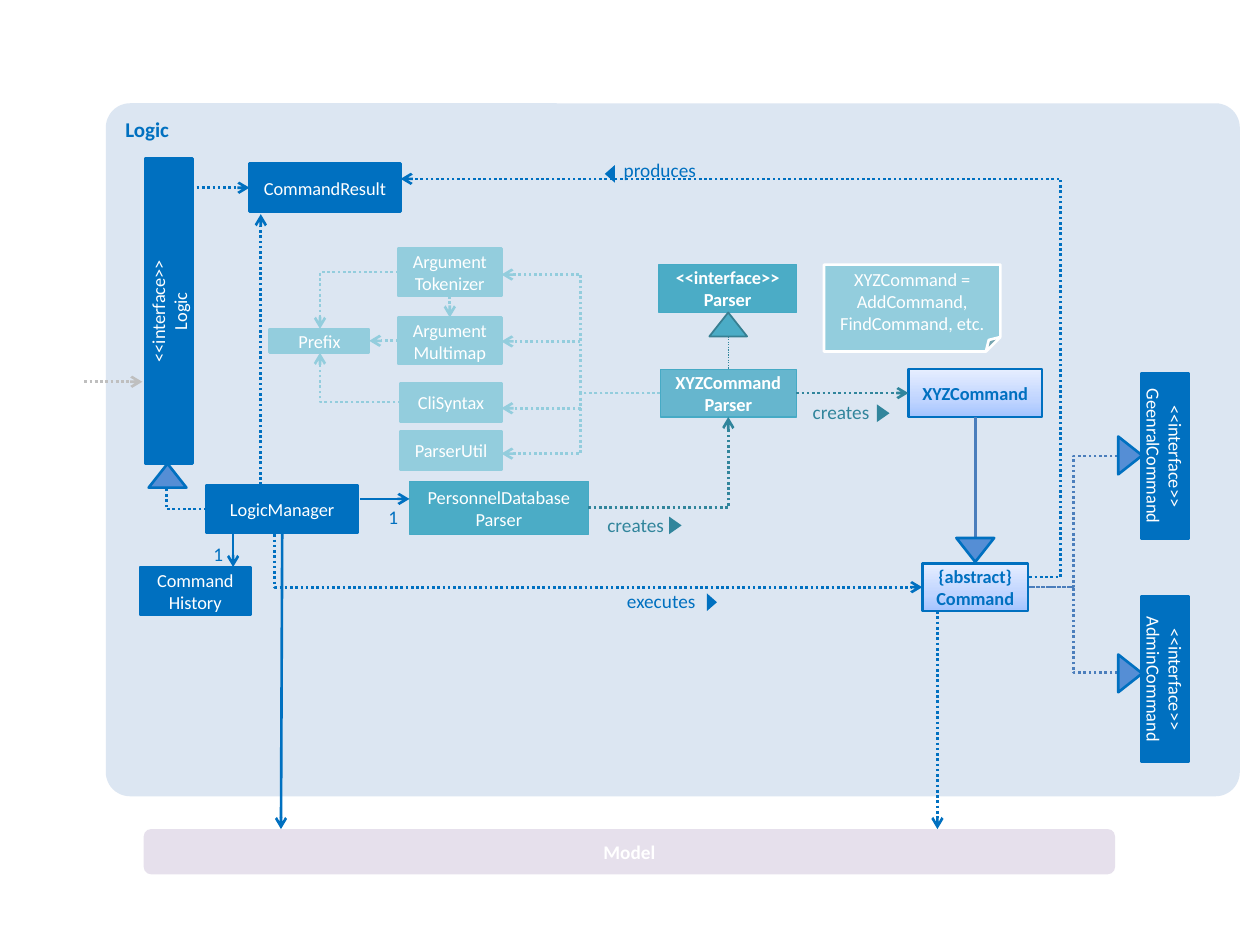
from copy import deepcopy

from lxml import etree
from pptx import Presentation
from pptx.dml.color import RGBColor
from pptx.enum.dml import MSO_LINE
from pptx.enum.shapes import MSO_CONNECTOR, MSO_SHAPE
from pptx.enum.text import MSO_ANCHOR, PP_ALIGN
from pptx.oxml.ns import qn
from pptx.util import Inches, Pt

RECT, ROUND = MSO_SHAPE.RECTANGLE, MSO_SHAPE.ROUNDED_RECTANGLE
WEDGE, NOTE = MSO_SHAPE.ISOSCELES_TRIANGLE, MSO_SHAPE.FOLDED_CORNER
STRAIGHT, ELBOW = MSO_CONNECTOR.STRAIGHT, MSO_CONNECTOR.ELBOW
LEFT, MID, RIGHT = PP_ALIGN.LEFT, PP_ALIGN.CENTER, PP_ALIGN.RIGHT
TOP, CENTER = MSO_ANCHOR.TOP, MSO_ANCHOR.MIDDLE
DOT = MSO_LINE.ROUND_DOT
NORTH, WEST, SOUTH, EAST = range(4)

HEX = {
    "blue": "0070C0", "pale": "DCE6F2", "mauve": "E6E0EC", "white": "FFFFFF",
    "teal": "4BACC6", "edge": "46AAC5", "rim": "377F92", "sea": "31859C",
    "aqua": "93CDDD", "sky": "558ED5", "steel": "4B7EBC", "gray": "BFBFBF",
}
SHADE = [(0, "A4C4FF"), (0.35, "BFD4FF"), (1, "E6EEFF")]


def color(name):
    return RGBColor.from_string(HEX[name])


def write(shape, text, size=10.5, ink="white", bold=False, align=MID,
          anchor=CENTER, inset=None):
    frame = shape.text_frame
    frame.word_wrap = True
    frame.vertical_anchor = anchor
    if inset is not None:
        frame.margin_left = frame.margin_right = Inches(inset)
        frame.margin_top = frame.margin_bottom = Inches(inset)
    frame.text = text
    for para in frame.paragraphs:
        para.alignment = align
        for run in para.runs:
            run.font.name = "Calibri"
            run.font.size = Pt(size)
            run.font.bold = bold
            run.font.color.rgb = color(ink)


class Chart:
    """Draws the parts of a class diagram on one slide."""

    def __init__(self, slide):
        self.shapes = slide.shapes

    def box(self, x, y, w, h, text="", fill="blue", edge=None, width=1.5,
            kind=RECT, turn=0, **form):
        shape = self.shapes.add_shape(
            kind, Inches(x), Inches(y), Inches(w), Inches(h))
        shape.shadow.inherit = False
        shape.rotation = turn
        if fill == "shade":
            self.blend(shape)
        else:
            shape.fill.solid()
            shape.fill.fore_color.rgb = color(fill)
        if edge:
            shape.line.color.rgb = color(edge)
            shape.line.width = Pt(width)
        else:
            shape.line.fill.background()
        if text:
            write(shape, text, **form)
        return shape

    def blend(self, shape):
        shape.fill.gradient()
        shape.fill.gradient_angle = 90
        stops = shape.element.spPr.find(qn("a:gradFill")).find(qn("a:gsLst"))
        stops.insert(1, deepcopy(stops[0]))
        for stop, (place, tone) in zip(shape.fill.gradient_stops, SHADE):
            stop.position = place
            stop.color.rgb = RGBColor.from_string(tone)

    def fade(self, shape, part):
        tone = next(shape.element.spPr.iter(qn("a:srgbClr")))
        etree.SubElement(tone, qn("a:alpha"), val=str(part * 1000))

    def wedge(self, x, y, w, h, turn=0, fill="sky", edge="blue", width=1.5):
        return self.box(x, y, w, h, fill=fill, edge=edge, width=width,
                        kind=WEDGE, turn=turn)

    def label(self, x, y, w, text, ink="blue", align=LEFT):
        shape = self.shapes.add_textbox(
            Inches(x), Inches(y), Inches(w), Inches(0.25))
        write(shape, text, 11, ink, align=align, anchor=TOP, inset=0)

    def line(self, start, end, ink="blue", width=1.5, dash=DOT, arrow=True,
             kind=STRAIGHT, bend=None, tie=None, join=None):
        link = self.shapes.add_connector(
            kind, *(Inches(v) for v in (*start, *end)))
        if tie:
            link.begin_connect(*tie)
        if join:
            link.end_connect(*join)
        link.line.color.rgb = color(ink)
        link.line.width = Pt(width)
        if dash:
            link.line.dash_style = dash
        props = link.element.spPr
        if arrow:
            etree.SubElement(props.find(qn("a:ln")), qn("a:tailEnd"), type="arrow")
        etree.SubElement(props, qn("a:effectLst"))
        if bend is not None:
            guides = props.find(qn("a:prstGeom")).find(qn("a:avLst"))
            etree.SubElement(guides, qn("a:gd"), name="adj1",
                             fmla=f"val {round(bend * 100000)}")
        return link

    def corner(self, start, end, **look):
        """Goes across first, then up or down."""
        link = self.line(start, end, kind=ELBOW, **look)
        link.element.spPr.find(qn("a:prstGeom")).set("prst", "bentConnector2")


def main():
    deck = Presentation()
    deck.slide_width, deck.slide_height = Inches(10), Inches(7.5)
    art = Chart(deck.slides.add_slide(deck.slide_layouts[6]))

    # Component areas
    area = art.box(0.84, 0.82, 9, 5.5, "Logic", "pale", kind=ROUND, size=12,
                   ink="blue", bold=True, align=LEFT, anchor=TOP)
    area.adjustments[0] = 0.035
    art.box(1.14, 6.58, 7.71, 0.36, "Model", "mauve", kind=ROUND, size=11,
            bold=True)

    # Logic classes
    blue = {"edge": "blue"}
    result = art.box(1.98, 1.3, 1.2, 0.38, "CommandResult", **blue)
    art.box(1.64, 3.85, 1.2, 0.38, "LogicManager", **blue)
    past = art.box(1.11, 4.5, 0.88, 0.38, "Command\nHistory", **blue)
    art.box(0.13, 2.28, 2.42, 0.38, "<<interface>>\nLogic", turn=270, **blue)
    for y, name in ((3.43, "GeenralCommand"), (5.2, "AdminCommand")):
        art.box(8.59, y, 1.31, 0.38, f"<<interface>>\n{name}", turn=90, **blue)

    # Command classes
    shade = {"fill": "shade", "edge": "blue", "ink": "blue", "bold": True}
    xyz = art.box(7.21, 2.93, 1.06, 0.38, "XYZCommand", **shade)
    art.box(7.32, 4.47, 0.84, 0.38, "{abstract}\nCommand", **shade)

    # Parser classes
    teal = {"fill": "teal", "edge": "edge", "width": 0.75}
    art.box(3.25, 3.82, 1.42, 0.42, "PersonnelDatabase\nParser", **teal)
    art.box(5.23, 2.1, 1.09, 0.38, "<<interface>>\nParser", bold=True, **teal)
    parser = art.box(5.24, 2.93, 1.08, 0.38, "XYZCommand\nParser", bold=True,
                     **teal)
    art.fade(parser, 81)

    # Parser helpers
    aqua = {"fill": "aqua", "edge": "aqua"}
    token = art.box(3.16, 1.97, 0.82, 0.38, "Argument\nTokenizer", **aqua)
    multi = art.box(3.16, 2.52, 0.82, 0.37, "Argument\nMultimap", **aqua)
    prefix = art.box(2.14, 2.61, 0.79, 0.19, "Prefix", **aqua)
    art.box(3.18, 3.04, 0.8, 0.31, "CliSyntax", **aqua)
    art.box(3.18, 3.42, 0.8, 0.31, "ParserUtil", **aqua)
    art.box(6.54, 2.1, 1.4, 0.69, "XYZCommand = AddCommand, FindCommand, etc.",
            "aqua", "white", kind=NOTE)

    # Links of the logic classes
    art.line((8.17, 4.58), (3.18, 1.42), kind=ELBOW, bend=-0.05)
    art.line((1.52, 1.49), (1.98, 1.49), join=(result, WEST))
    art.line((2.07, 3.85), (2.07, 1.7))
    art.line((2.18, 4.24), (7.32, 4.66), kind=ELBOW, bend=0)
    art.line((7.44, 4.85), (7.44, 6.58))
    art.line((0.67, 3.03), (1.13, 3.03), "gray")
    art.line((2.24, 4.23), (2.23, 6.58), dash=None)
    art.line((1.85, 4.24), (1.85, 4.5), dash=None)
    art.line((2.86, 3.96), (3.25, 3.96), dash=None)
    art.corner((1.64, 4.04), (1.32, 3.87), arrow=False)

    # Links of the command classes
    art.line((7.74, 4.27), (7.74, 3.31), "steel", dash=None, arrow=False,
             join=(xyz, SOUTH))
    for y in (3.62, 5.34):
        art.line((8.87, y), (8.17, 4.66), "steel", arrow=False, kind=ELBOW)

    # Links of the parsers and their helpers
    art.line((6.32, 3.12), (7.21, 3.12), "sea", tie=(parser, EAST),
             join=(xyz, WEST))
    art.line((5.78, 2.67), (5.78, 2.93), "sea", 0.75, arrow=False,
             join=(parser, NORTH))
    art.corner((4.67, 4.03), (5.78, 3.31), ink="sea")
    art.line((3.16, 2.71), (2.93, 2.71), "aqua", tie=(multi, WEST),
             join=(prefix, EAST))
    art.line((3.57, 2.35), (3.57, 2.52), "aqua", tie=(token, SOUTH),
             join=(multi, NORTH))
    art.corner((3.18, 3.19), (2.54, 2.8), ink="aqua")
    art.corner((3.16, 2.16), (2.54, 2.61), ink="aqua")
    for y in (2.18, 2.71, 3.24, 3.6):
        art.line((5.24, 3.12), (3.98, y), "aqua", kind=ELBOW)

    # Inheritance heads
    art.wedge(1.18, 3.68, 0.3, 0.19)
    art.wedge(7.59, 4.27, 0.3, 0.19, 180)
    art.wedge(5.63, 2.48, 0.3, 0.19, fill="teal", edge="rim", width=1)
    for y in (3.52, 5.25):
        art.wedge(8.82, y, 0.3, 0.19, 90)

    # Link names with their direction marks
    art.label(4.72, 4.68, 0.8, "executes", align=RIGHT)
    art.wedge(5.58, 4.74, 0.14, 0.08, 90, "blue", None)
    art.label(4.95, 1.26, 0.8, "produces")
    art.wedge(4.77, 1.34, 0.14, 0.08, 270, "blue", None)
    for x, y, mark in ((4.82, 4.07, 5.29), (6.45, 3.18, 6.94)):
        art.label(x, y, 0.63, "creates", "sea")
        art.wedge(mark, y + 0.05, 0.14, 0.1, 90, "sea", None)
    for x, y in ((3.02, 4.01), (1.63, 4.3)):
        art.label(x, y, 0.14, "1", align=RIGHT)

    deck.save("out.pptx")


if __name__ == "__main__":
    main()
